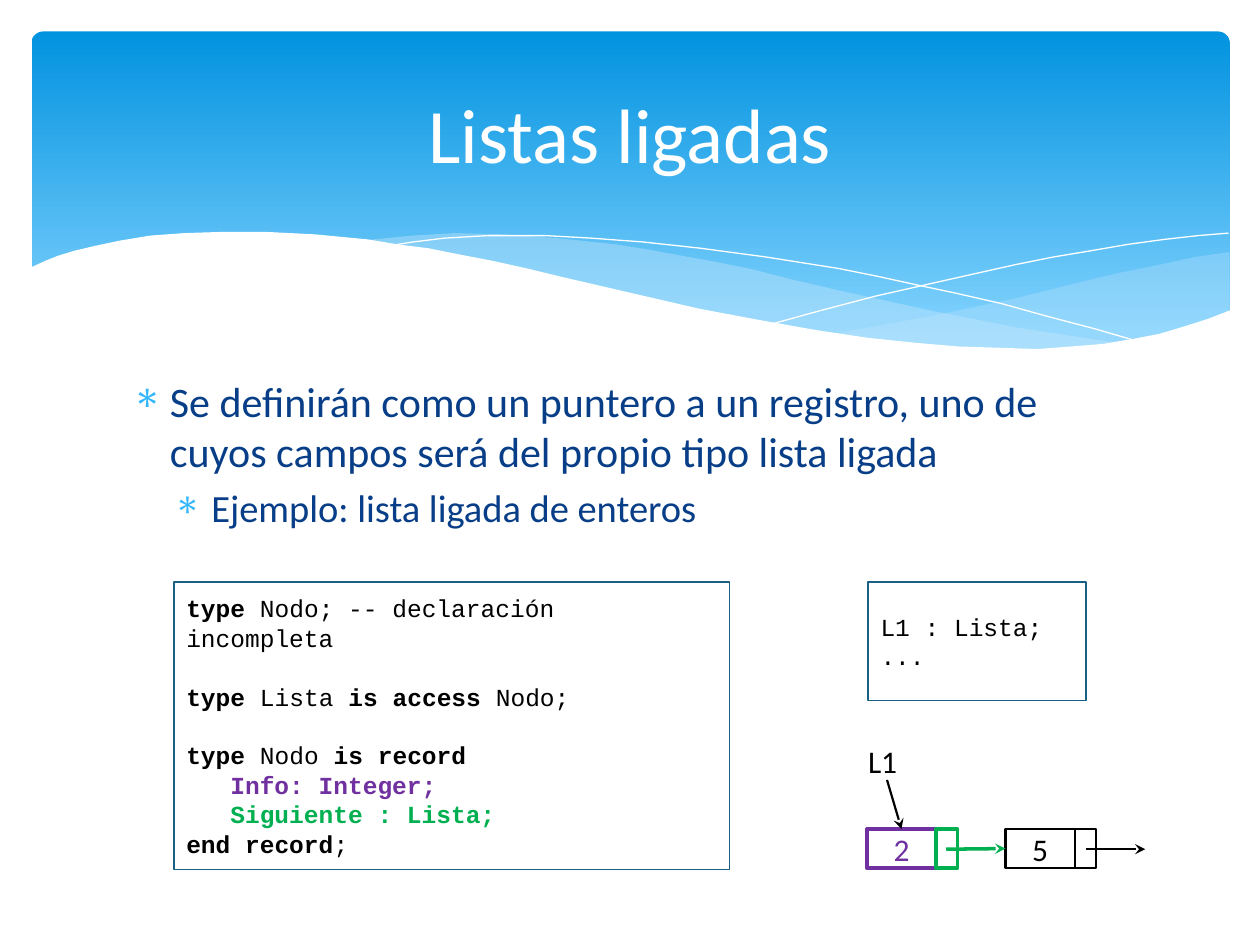
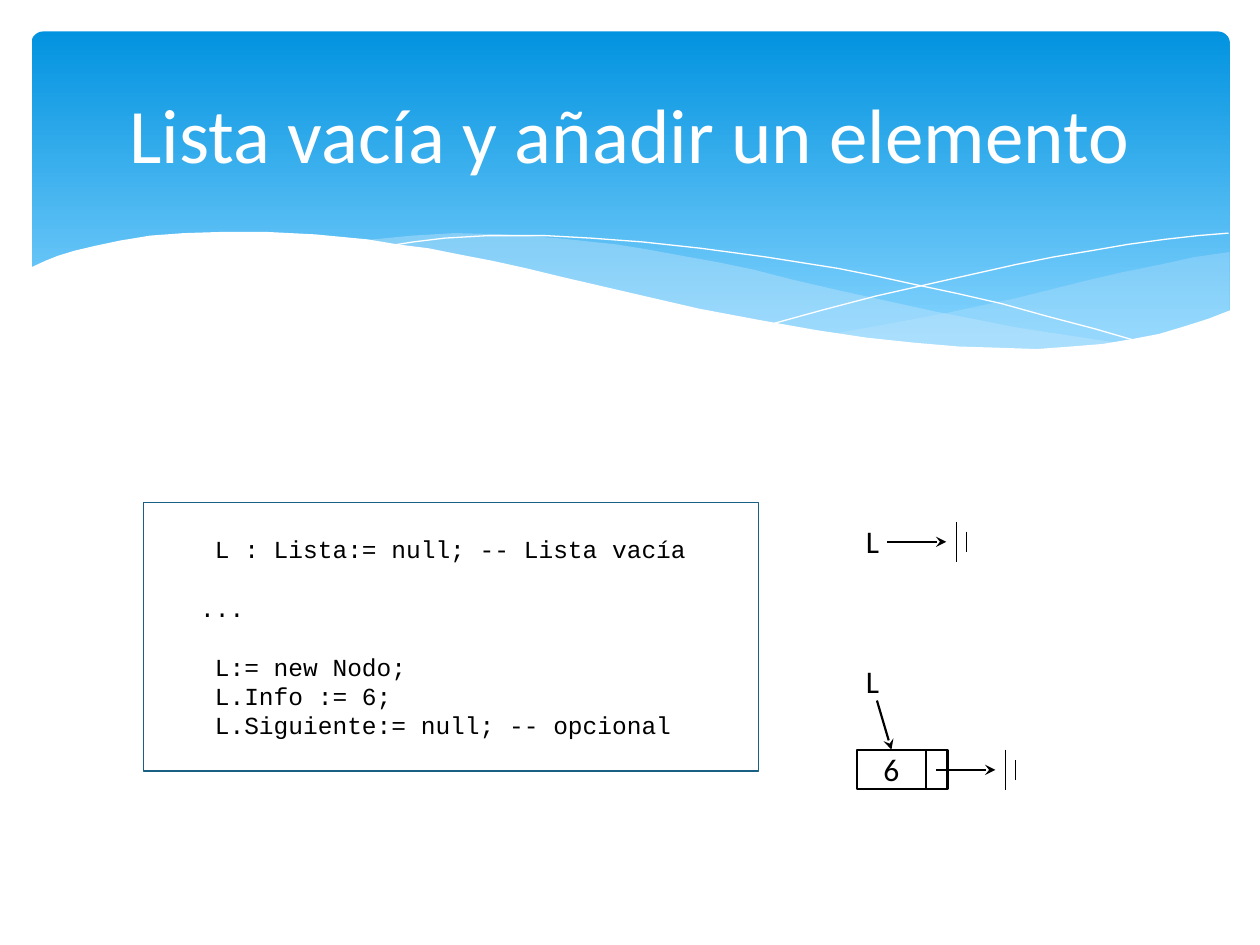
from dataclasses import dataclass

from lxml import etree
from pptx import Presentation
from pptx.dml.color import RGBColor
from pptx.enum.shapes import MSO_CONNECTOR, MSO_SHAPE
from pptx.enum.text import MSO_ANCHOR, PP_ALIGN
from pptx.oxml.ns import qn
from pptx.util import Inches, Pt

RECT, ROUND = MSO_SHAPE.RECTANGLE, MSO_SHAPE.ROUNDED_RECTANGLE
STRAIGHT = MSO_CONNECTOR.STRAIGHT
MIDDLE, TOP = MSO_ANCHOR.MIDDLE, MSO_ANCHOR.TOP
LEFT, CENTER = PP_ALIGN.LEFT, PP_ALIGN.CENTER


@dataclass(frozen=True)
class Theme:
    sky: str = "0293E0"
    pale: str = "83D3FE"
    wave: str = "C6E7FC"
    white: str = "FFFFFF"
    black: str = "000000"
    navy: str = "073E87"
    bullet: str = "31B6FD"
    frame: str = "1A5F84"
    purple: str = "7030A0"
    green: str = "00B050"
    sans: str = "Calibri"
    mono: str = "Courier New"
    title: int = 44
    body: int = 24
    sub: int = 22
    label: int = 18
    code: int = 14
    pitch: float = 16.8
    thin: float = 0.75
    pen: float = 1.25
    bold: float = 2


T = Theme()


def write(shape, rows, font, size, tone, align=CENTER, anchor=MIDDLE):
    """Fill a shape with paragraphs; a row is a list of (text, bold, tone) runs."""
    frame = shape.text_frame
    frame.word_wrap = True
    frame.vertical_anchor = anchor
    for i, row in enumerate(rows):
        para = frame.add_paragraph() if i else frame.paragraphs[0]
        para.alignment = align
        for text, strong, hue in row:
            run = para.add_run()
            run.text = text
            run.font.name = font
            run.font.size = Pt(size)
            run.font.bold = strong
            run.font.color.rgb = RGBColor.from_string(hue or tone)
    return frame.paragraphs


def link(slide, start, end, tone=T.black, width=T.pen, arrow=True):
    line = slide.shapes.add_connector(STRAIGHT, *map(Inches, start + end))
    line.line.color.rgb = RGBColor.from_string(tone)
    line.line.width = Pt(width)
    if arrow:
        etree.SubElement(line.line._get_or_add_ln(), qn("a:tailEnd"), type="stealth")
    etree.SubElement(line._element.spPr, qn("a:effectLst"))
    return line


# Curves of the band: points, fill, opacity in percent (no fill means a hairline)
right = [(9.76, 2), (9.48, 2.04), (9.21, 2.1), (8.91, 2.16), (8.61, 2.23),
         (8.05, 2.37), (7.53, 2.48), (7.06, 2.57), (6.61, 2.65), (6.91, 2.69),
         (7.19, 2.72), (7.45, 2.75), (7.69, 2.77), (8.03, 2.78), (8.35, 2.77),
         (8.63, 2.75), (8.89, 2.72), (9.13, 2.67), (9.35, 2.62), (9.63, 2.52),
         (9.76, 2.47)]
left = [(8.93, 2.73), (8.66, 2.69), (8.07, 2.6), (7.41, 2.47), (6.68, 2.31),
        (6.29, 2.22), (5.98, 2.14), (5.69, 2.08), (5.41, 2.03), (5.14, 1.98),
        (4.89, 1.94), (4.42, 1.89), (3.99, 1.86), (3.61, 1.85), (3.28, 1.87),
        (2.86, 1.91), (3.23, 1.96), (3.62, 2.03), (4.04, 2.11), (4.49, 2.22),
        (4.91, 2.32), (5.3, 2.4), (5.66, 2.48), (6.01, 2.55), (6.34, 2.61),
        (6.65, 2.66), (6.95, 2.7), (7.22, 2.74), (7.48, 2.76), (7.85, 2.78),
        (8.28, 2.78), (8.57, 2.77)]
fall = [(3.09, 1.95), (3.28, 1.92), (3.53, 1.89), (3.87, 1.87), (4.33, 1.87),
        (4.69, 1.89), (5.1, 1.92), (5.56, 1.97), (6.08, 2.04), (6.65, 2.13),
        (6.95, 2.19), (7.27, 2.26), (7.6, 2.33), (7.95, 2.41), (8.31, 2.51),
        (8.69, 2.61), (9.07, 2.72)]
rise = [(6.13, 2.57), (6.53, 2.46), (6.95, 2.35), (7.48, 2.23), (8.06, 2.1),
        (8.36, 2.04), (8.66, 1.99), (8.95, 1.94), (9.24, 1.9), (9.51, 1.87),
        (9.75, 1.85)]
front = [(9.77, 2.46), (9.59, 2.53), (9.4, 2.59), (9.2, 2.65), (8.99, 2.69),
         (8.75, 2.73), (8.5, 2.75), (8.23, 2.77), (7.93, 2.76), (7.61, 2.75),
         (7.26, 2.72), (6.88, 2.68), (6.48, 2.62), (6.03, 2.54), (5.55, 2.45),
         (5.03, 2.33), (4.47, 2.2), (4.18, 2.13), (3.91, 2.07), (3.65, 2.02),
         (3.4, 1.97), (3.16, 1.94), (2.92, 1.9), (2.71, 1.88), (2.5, 1.86),
         (2.11, 1.84), (1.77, 1.84), (1.46, 1.85), (1.19, 1.87), (0.95, 1.91),
         (0.76, 1.95), (0.59, 1.99), (0.46, 2.03), (0.36, 2.07), (0.23, 2.13),
         (0.23, 3.29), (9.77, 3.29)]
curves = [(right, T.wave, 29), (left, T.wave, 40), (fall, None, 100),
          (rise, None, 100), (front, T.white, 100)]

deck = Presentation()
deck.slide_width, deck.slide_height = Inches(10), Inches(7.5)
slides = []

for title in ("Listas ligadas", "Lista vacía y añadir un elemento"):
    slide = deck.slides.add_slide(deck.slide_layouts[6])
    slides.append(slide)
    band = slide.shapes.add_shape(ROUND, *map(Inches, (0.25, 0.25, 9.51, 2.7)))
    band.adjustments[0] = 0.034
    band.shadow.inherit = False
    band.line.fill.background()
    band.fill.gradient()
    band.fill.gradient_angle = 270
    for stop, hue, place in zip(band.fill.gradient_stops, (T.sky, T.pale), (0, 0.9)):
        stop.color.rgb = RGBColor.from_string(hue)
        stop.position = place
    for points, hue, alpha in curves:
        spots = [(Inches(x), Inches(y)) for x, y in points]
        pen = slide.shapes.build_freeform(*spots[0])
        pen.add_line_segments(spots[1:], close=bool(hue))
        curve = pen.convert_to_shape()
        curve.shadow.inherit = False
        if hue:
            curve.line.fill.background()
            curve.fill.solid()
            curve.fill.fore_color.rgb = RGBColor.from_string(hue)
            if alpha < 100:
                color = curve._element.spPr.find(".//" + qn("a:srgbClr"))
                etree.SubElement(color, qn("a:alpha"), val=str(alpha * 1000))
        else:
            curve.fill.background()
            curve.line.color.rgb = RGBColor.from_string(T.white)
            curve.line.width = Pt(0)
    head = slide.shapes.add_textbox(*map(Inches, (0.5, 0.37, 9, 1.37)))
    write(head, [[(title, False, None)]], T.sans, T.title, T.white)

first, second = slides

# Bulleted text
body = first.shapes.add_textbox(*map(Inches, (0.95, 2.93, 8.1, 3.77)))
points = ["Se definirán como un puntero a un registro, uno de cuyos campos "
          "será del propio tipo lista ligada",
          "Ejemplo: lista ligada de enteros"]
paras = write(body, [[(p, False, None)] for p in points],
              T.sans, T.body, T.navy, LEFT, TOP)
for level, (para, size, margin) in enumerate(
        zip(paras, (T.body, T.sub), (0.3, 0.63))):
    para.level = level
    para.space_before = Pt(size * 0.2)
    para.runs[0].font.size = Pt(size)
    props = para._p.get_or_add_pPr()
    props.set("marL", str(Inches(margin)))
    props.set("indent", str(Inches(-0.3)))
    color = etree.SubElement(props, qn("a:buClr"))
    etree.SubElement(color, qn("a:srgbClr"), val=T.bullet)
    etree.SubElement(props, qn("a:buChar"), char="∗")

# Code panels: rows are (lines skipped before, columns indented, runs)
types = [
    (0, 0, [("type", True, None), (" Nodo; -- declaración incompleta", False, None)]),
    (1, 0, [("type", True, None), (" Lista ", False, None),
            ("is access", True, None), (" Nodo;", False, None)]),
    (1, 0, [("type", True, None), (" Nodo ", False, None), ("is record", True, None)]),
    (0, 3, [("Info: Integer;", True, T.purple)]),
    (0, 3, [("Siguiente : Lista;", True, T.green)]),
    (0, 0, [("end record", True, None), (";", False, None)]),
]
usage = [(0, 0, [("L1 : Lista;", False, None)]), (0, 0, [("...", False, None)])]
steps = [(skip, tab, [(text, False, None)]) for skip, tab, text in (
    (0, 4, "L : Lista:= null; -- Lista vacía"), (1, 3, "..."),
    (1, 4, "L:= new Nodo;"), (0, 4, "L.Info := 6;"),
    (0, 4, "L.Siguiente:= null; -- opcional"))]

for slide, area, rows in ((first, (1.38, 4.62, 4.41, 2.28), types),
                          (first, (6.89, 4.62, 1.73, 0.94), usage),
                          (second, (1.14, 3.99, 4.88, 2.13), steps)):
    panel = slide.shapes.add_shape(RECT, *map(Inches, area))
    panel.shadow.inherit = False
    panel.fill.background()
    panel.line.color.rgb = RGBColor.from_string(T.frame)
    panel.line.width = Pt(T.thin)
    panel.text_frame.margin_right = Inches(0.15)
    paras = write(panel, [row[2] for row in rows], T.mono, T.code, T.black, LEFT)
    for para, (skip, tab, runs) in zip(paras, rows):
        para.line_spacing = Pt(T.pitch)
        para.space_before = Pt(skip * T.pitch)
        para._p.get_or_add_pPr().set("marL", str(Pt(tab * T.code * 0.6)))

# List nodes: a value cell and a pointer cell
WIDE, SLIM, TALL = 0.55, 0.17, 0.31
nodes = {}
for slide, x, y, value, hue, tip, width in (
        (first, 6.88, 6.58, "2", T.purple, T.green, T.bold),
        (first, 7.98, 6.58, "5", T.black, T.black, T.pen),
        (second, 6.8, 5.95, "6", T.black, T.black, T.pen)):
    for spot, span, tone, text in ((x, WIDE, hue, value), (x + WIDE, SLIM, tip, "")):
        cell = slide.shapes.add_shape(RECT, *map(Inches, (spot, y, span, TALL)))
        cell.shadow.inherit = False
        cell.fill.background()
        cell.line.color.rgb = RGBColor.from_string(tone)
        cell.line.width = Pt(width)
        if text:
            write(cell, [[(text, False, None)]], T.sans, T.label, tone)
            nodes[text] = cell

for slide, x, y, name in ((first, 6.73, 5.88, "L1"), (second, 6.65, 5.25, "L"),
                          (second, 6.65, 4.14, "L")):
    label = slide.shapes.add_textbox(*map(Inches, (x, y, WIDE, TALL)))
    write(label, [[(name, False, None)]], T.sans, T.label, T.black)

# Arrows between names and nodes
link(first, (7.04, 6.19), (7.16, 6.58)).end_connect(nodes["2"], 0)
link(first, (7.51, 6.74), (7.98, 6.74), T.green, T.bold).end_connect(nodes["5"], 1)
link(first, (8.62, 6.74), (9.09, 6.74))
link(second, (6.96, 5.56), (7.08, 5.95)).end_connect(nodes["6"], 0)

# Null pointers: an arrow and two shrinking bars
for x, y in ((7.43, 6.11), (7.04, 4.3)):
    link(second, (x, y), (x + 0.47, y))
    for gap, half in ((0.55, 0.16), (0.63, 0.08)):
        link(second, (x + gap, y - half), (x + gap, y + half),
             width=T.thin, arrow=False)

deck.save("out.pptx")
